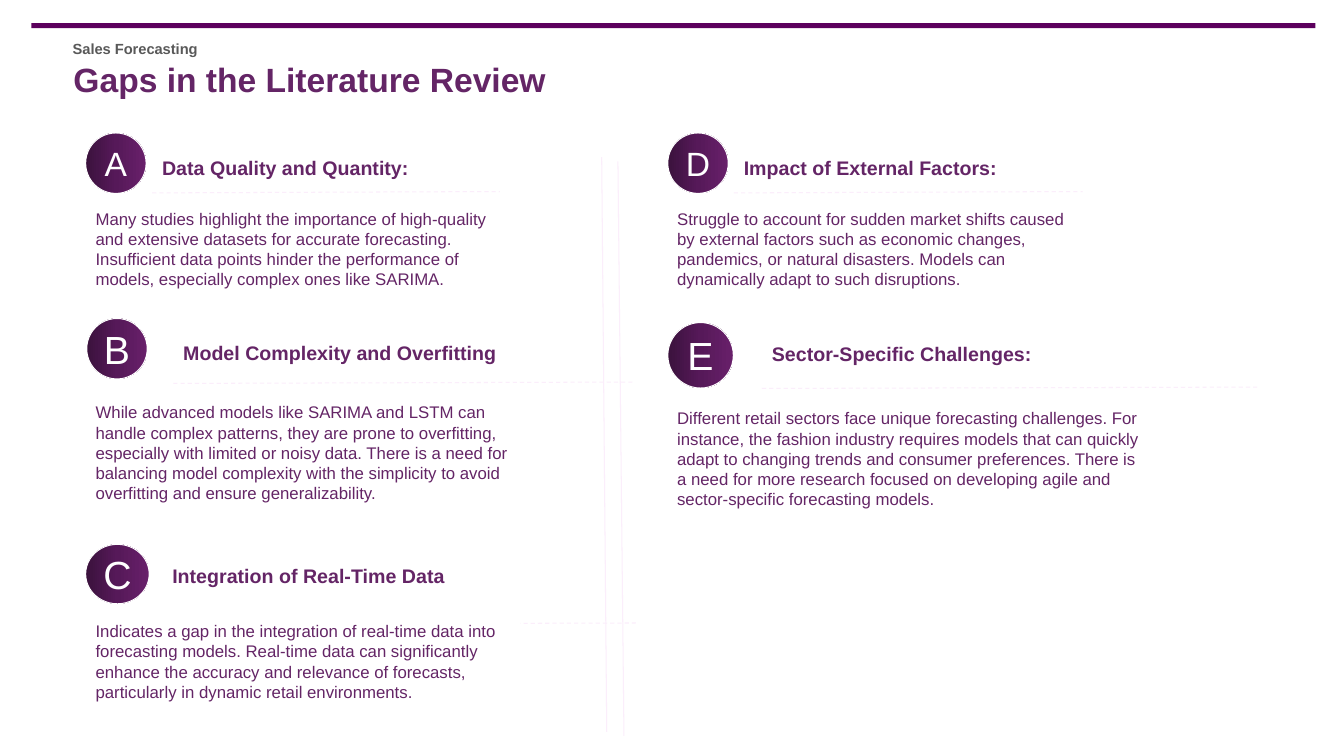
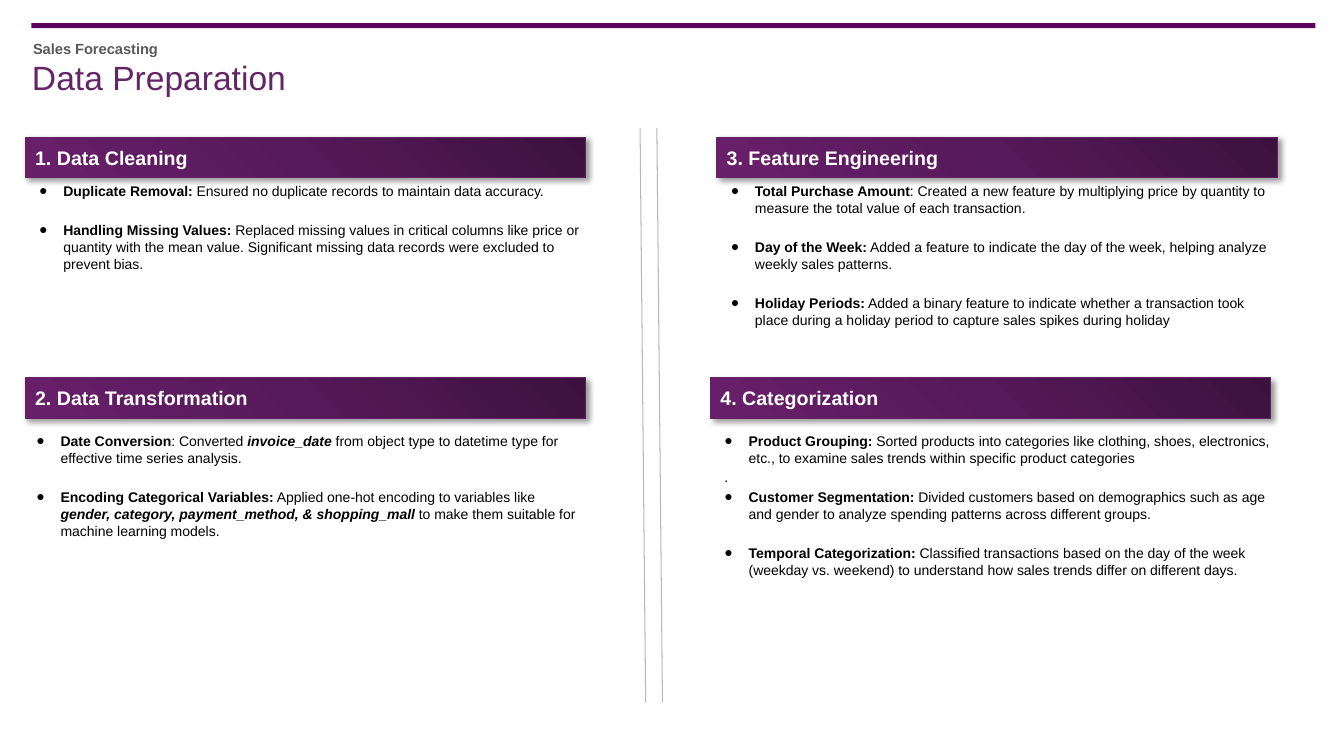
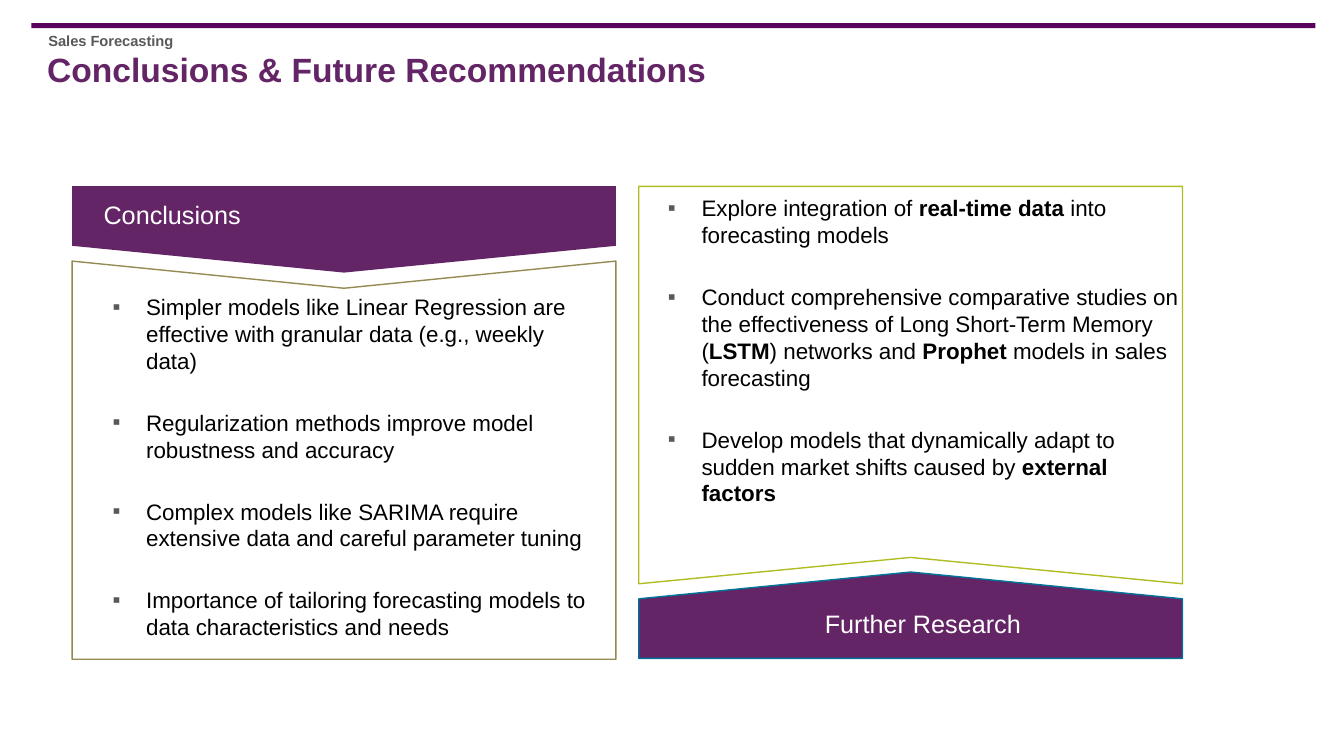
from dataclasses import dataclass

from pptx import Presentation
from pptx.dml.color import RGBColor
from pptx.enum.dml import MSO_LINE
from pptx.enum.shapes import MSO_CONNECTOR, MSO_SHAPE
from pptx.enum.text import MSO_ANCHOR, PP_ALIGN
from pptx.oxml import parse_xml
from pptx.oxml.ns import nsdecls, qn
from pptx.util import Pt


@dataclass(frozen=True)
class Theme:
    font: str = "Arial"
    bar: str = "5C005D"
    purple: str = "642566"
    banner_line: str = "622264"
    gradient: tuple = ((0, "3B123D"), (50, "561959"), (100, "68206A"))
    white: str = "FFFFFF"
    black: str = "000000"
    grey: str = "595959"
    divider: str = "B6B8BA"
    pale: str = "FBEEFB"
    olive: str = "948A54"
    lime: str = "B0BC22"
    teal: str = "007399"
    title: float = 24
    kicker: float = 10.5
    heading: float = 14
    body: float = 12
    small: float = 10
    large: float = 16
    label: float = 18


THEME = Theme()
SLIDE_SIZE = (960, 540)
PADDING = (7.2, 3.6, 7.2, 3.6)
LINEAR = '<a:lin ang="0" scaled="0"/>'
RADIAL = '<a:path path="circle"><a:fillToRect l="100000" b="100000"/></a:path>'

# Content: title, bold, left and top of the title box, left and top of the kicker
KICKER = "Sales Forecasting"
HEADERS = {
    "gaps": ("Gaps in the Literature Review", True, (45.4, 23.8), (52, 26.6)),
    "preparation": ("Data Preparation", False, (15.8, 23), (23.6, 26.6)),
    "conclusions": ("Conclusions & Future Recommendations", True, (26.6, 17.3), (34.6, 21)),
}

# Gaps: letter, size, circle box, heading, its left and top, rule end and top, body box, body text
GAPS = [
    ("D", 24, (477, 95, 43.2, 43.2), "Impact of External Factors:", (524.2, 108), (773.3, 136.8),
     (476.6, 145.4, 294.5, 130.3),
     "Struggle to account for sudden market shifts caused by external factors such as economic "
     "changes, pandemics, or natural disasters. Models can dynamically adapt to such disruptions."),
    ("E", 28, (477, 230.4, 46.8, 46.8), "Sector-Specific Challenges:", (544.3, 240.5), (898.6, 276.5),
     (476.6, 288, 347.8, 114.5),
     "Different retail sectors face unique forecasting challenges. For instance, the fashion industry "
     "requires models that can quickly adapt to changing trends and consumer preferences. There is a "
     "need for more research focused on developing agile and sector-specific forecasting models."),
    ("C", 28, (61.2, 388.8, 45.4, 42.5), "Integration of Real-Time Data", (116, 399.6), (455.8, 445),
     (61.2, 440, 310.3, 99.4),
     "Indicates a gap in the integration of real-time data into forecasting models. Real-time data can "
     "significantly enhance the accuracy and relevance of forecasts, particularly in dynamic retail "
     "environments."),
    ("A", 24, (61.2, 95, 43.2, 43.2), "Data Quality and Quantity:", (108.7, 108), (357.1, 136.8),
     (61.2, 145.4, 294.5, 130.3),
     "Many studies highlight the importance of high-quality and extensive datasets for accurate "
     "forecasting. Insufficient data points hinder the performance of models, especially complex ones "
     "like SARIMA."),
    ("B", 28, (62, 227.5, 43.2, 43.2), "Model Complexity and Overfitting", (123.8, 239.8), (452.2, 272.9),
     (61.2, 283.7, 322.6, 105.1),
     "While advanced models like SARIMA and LSTM can handle complex patterns, they are prone to "
     "overfitting, especially with limited or noisy data. There is a need for balancing model complexity "
     "with the simplicity to avoid overfitting and ensure generalizability."),
]

# Preparation: banner text, banner left and top, list left and top, width, items
# An item is a list of (text, style) runs; a plain string is an unbulleted line
STEPS = [
    ("1. Data Cleaning", (18, 98), (18, 130.3), 400.3, [
        [("Duplicate Removal:", "b"), (" Ensured no duplicate records to maintain data accuracy.", "")],
        [("Handling Missing Values:", "b"),
         (" Replaced missing values in critical columns like price or quantity with the mean value. "
          "Significant missing data records were excluded to prevent bias.", "")],
    ]),
    ("2. Data Transformation", (18, 270), (16, 308.9), 402.5, [
        [("Date Conversion", "b"), (": Converted ", ""), ("invoice_date ", "bi"),
         ("from object type to datetime type for effective time series analysis.", "")],
        [("Encoding Categorical Variables:", "b"), (" Applied one-hot encoding to variables like ", ""),
         ("gender, category, payment_method, & shopping_mall ", "bi"),
         ("to make them suitable for machine learning models.", "")],
    ]),
    ("3. Feature Engineering", (512, 98), (512, 130.3), 400.3, [
        [("Total Purchase Amount", "b"),
         (": Created a new feature by multiplying price by quantity to measure the total value of each "
          "transaction.", "")],
        [("Day of the Week:", "b"),
         (" Added a feature to indicate the day of the week, helping analyze weekly sales patterns.", "")],
        [("Holiday Periods:", "b"),
         (" Added a binary feature to indicate whether a transaction took place during a holiday period "
          "to capture sales spikes during holiday", "")],
    ]),
    ("4. Categorization", (507.5, 270), (507.5, 308.9), 400.3, [
        [("Product Grouping: ", "b"),
         ("Sorted products into categories like clothing, shoes, electronics, etc., to examine sales "
          "trends within specific product categories", "")],
        ".",
        [("Customer Segmentation: ", "b"),
         ("Divided customers based on demographics such as age and gender to analyze spending patterns "
          "across different groups.", "")],
        [("Temporal Categorization: ", "b"),
         ("Classified transactions based on the day of the week (weekday vs. weekend) to understand how "
          "sales trends differ on different days.", "")],
    ]),
]

# Conclusions: each panel is an arrow plate with a matching outlined box
PANELS = [
    {"label": "Conclusions", "label_box": (74, 138, 340, 30), "align": PP_ALIGN.LEFT,
     "left": 51.5, "plate_top": 133, "rotation": 90, "plate_line": None,
     "notch": (186.5, 205.9), "far_edge": 470.9, "outline": THEME.olive,
     "list_box": (68.4, 209.5, 353.6, 250),
     "items": [
         [("Simpler models like Linear Regression are effective with granular data (e.g., weekly data)", "")],
         [("Regularization methods improve model robustness and accuracy", "")],
         [("Complex models like SARIMA require extensive data and careful parameter tuning", "")],
         [("Importance of tailoring forecasting models to data characteristics and needs", "")],
     ]},
    {"label": "Further Research", "label_box": (474, 430, 370.5, 30), "align": PP_ALIGN.CENTER,
     "left": 456.3, "plate_top": 408.6, "rotation": 270, "plate_line": THEME.teal,
     "notch": (417, 398.2), "far_edge": 133.2, "outline": THEME.lime,
     "list_box": (465.1, 139, 377.4, 255),
     "items": [
         [("Explore integration of ", ""), ("real-time data ", "b"), ("into forecasting models", "")],
         [("Conduct comprehensive comparative studies on the effectiveness of Long Short-Term Memory (", ""),
          ("LSTM", "b"), (") networks and ", ""), ("Prophet ", "b"), ("models in sales forecasting", "")],
         [("Develop models that dynamically adapt to sudden market shifts caused by ", ""),
          ("external factors", "b")],
     ]},
]
PANEL_WIDTH, PLATE_HEIGHT, PLATE_POINT = 388.4, 61.7, 0.31


# Formatting helpers
def points(*values):
    return [Pt(value) for value in values]


def set_values(target, values):
    for name, value in values.items():
        setattr(target, name, value)


def prepare_frame(frame, padding=(0, 0, 0, 0), anchor=MSO_ANCHOR.TOP):
    names = ("margin_left", "margin_top", "margin_right", "margin_bottom")
    set_values(frame, dict(zip(names, points(*padding)), word_wrap=True, vertical_anchor=anchor))


def add_run(paragraph, text, size, color, style=""):
    run = paragraph.add_run()
    run.text = text
    set_values(run.font, {"name": THEME.font, "size": Pt(size), "bold": "b" in style, "italic": "i" in style})
    run.font.color.rgb = RGBColor.from_string(color)


def write(shape, text, size, color, style="", align=PP_ALIGN.LEFT, **frame_values):
    prepare_frame(shape.text_frame, **frame_values)
    paragraph = shape.text_frame.paragraphs[0]
    paragraph.alignment = align
    add_run(paragraph, text, size, color, style)


def set_outline(line, color, width):
    if color is None:
        line.fill.background()
    else:
        line.color.rgb = RGBColor.from_string(color)
        line.width = Pt(width)


def add_box(slide, kind, box, fill, outline=None, width=0.75):
    shape = slide.shapes.add_shape(kind, *points(*box))
    shape.shadow.inherit = False
    shape.fill.solid()
    shape.fill.fore_color.rgb = RGBColor.from_string(fill)
    set_outline(shape.line, outline, width)
    return shape


def add_text(slide, box, *args, **values):
    write(slide.shapes.add_textbox(*points(*box)), *args, **values)


def set_gradient(shape, direction):
    stops = "".join(f'<a:gs pos="{position * 1000}"><a:srgbClr val="{color}"/></a:gs>'
                    for position, color in THEME.gradient)
    gradient = parse_xml(f'<a:gradFill {nsdecls("a")} rotWithShape="1">'
                         f'<a:gsLst>{stops}</a:gsLst>{direction}</a:gradFill>')
    properties = shape._element.spPr
    properties.replace(properties.find(qn("a:solidFill")), gradient)


def add_shadow(shape):
    shape._element.spPr.find(qn("a:effectLst")).append(parse_xml(
        f'<a:outerShdw {nsdecls("a")} blurRad="{Pt(4)}" dist="{Pt(3)}" dir="2700000" algn="tl" '
        f'rotWithShape="0"><a:srgbClr val="{THEME.black}"><a:alpha val="40000"/></a:srgbClr></a:outerShdw>'))


def add_line(slide, start, end, color, dash=None):
    line = slide.shapes.add_connector(MSO_CONNECTOR.STRAIGHT, *points(*start, *end))
    set_outline(line.line, color, 0.75)
    line.line.dash_style = dash
    line._element.spPr.append(parse_xml(f'<a:effectLst {nsdecls("a")}/>'))


def add_list(slide, box, items, size, bullet, bullet_color, indent, hanging, space, gap):
    frame = slide.shapes.add_textbox(*points(*box)).text_frame
    prepare_frame(frame)
    follows_bullet = False
    for index, item in enumerate(items):
        paragraph = frame.paragraphs[0] if index == 0 else frame.add_paragraph()
        bulleted = not isinstance(item, str)
        paragraph.space_before = Pt(gap if bulleted and follows_bullet else space)
        properties = paragraph._p.get_or_add_pPr()
        properties.set("marL", str(Pt(indent if bulleted else indent - hanging)))
        if bulleted:
            properties.set("indent", str(-Pt(hanging)))
            for xml in (f'<a:buClr {nsdecls("a")}><a:srgbClr val="{bullet_color}"/></a:buClr>',
                        f'<a:buFont {nsdecls("a")} typeface="{THEME.font}"/>',
                        f'<a:buChar {nsdecls("a")} char="{bullet}"/>'):
                properties.append(parse_xml(xml))
        for text, style in item if bulleted else [(item, "")]:
            add_run(paragraph, text, size, THEME.black, style)
        follows_bullet = bulleted


def add_slide(presentation, header):
    title, bold, title_corner, kicker_corner = header
    slide = presentation.slides.add_slide(presentation.slide_layouts[6])
    add_box(slide, MSO_SHAPE.RECTANGLE, (22.4, 16.5, 917.3, 3.6), THEME.bar)
    add_text(slide, (*title_corner, 815.8, 64.8), title, THEME.title, THEME.purple,
             "b" if bold else "", padding=PADDING, anchor=MSO_ANCHOR.MIDDLE)
    add_text(slide, (*kicker_corner, 815.8, 16), KICKER, THEME.kicker, THEME.grey, "b", padding=(0, 2, 0, 0))
    return slide


# Slides
def build_gaps(presentation):
    slide = add_slide(presentation, HEADERS["gaps"])
    for letter, size, circle_box, heading, corner, rule_end, body_box, body in GAPS:
        circle = add_box(slide, MSO_SHAPE.FLOWCHART_CONNECTOR, circle_box, THEME.white, THEME.white)
        set_gradient(circle, LINEAR)
        write(circle, letter, size, THEME.white, align=PP_ALIGN.CENTER, anchor=MSO_ANCHOR.MIDDLE)
        add_text(slide, (*corner, 310, 25), heading, THEME.heading, THEME.purple, "b", padding=PADDING)
        add_line(slide, (corner[0], rule_end[1] + 1), rule_end, THEME.pale, MSO_LINE.DASH)
        panel = add_box(slide, MSO_SHAPE.RECTANGLE, body_box, THEME.white)
        write(panel, body, THEME.body, THEME.purple, padding=PADDING)
    add_line(slide, (429.8, 112.3), (433.4, 522.7), THEME.pale)
    add_line(slide, (441.4, 115.2), (445.7, 525.6), THEME.pale)


def build_preparation(presentation):
    slide = add_slide(presentation, HEADERS["preparation"])
    for heading, banner_corner, list_corner, width, items in STEPS:
        add_list(slide, (*list_corner, width, 120), items, THEME.small, "●", THEME.black,
                 indent=27.3, hanging=17.3, space=2, gap=16)
        banner = add_box(slide, MSO_SHAPE.RECTANGLE, (*banner_corner, 400.3, 28.8),
                         THEME.purple, THEME.banner_line)
        set_gradient(banner, RADIAL)
        add_shadow(banner)
        write(banner, heading, THEME.heading, THEME.white, "b", padding=PADDING, anchor=MSO_ANCHOR.MIDDLE)
    for left in (457.2, 469.2):
        add_line(slide, (left, 91.4), (left + 4, 501.8), THEME.divider)


def build_conclusions(presentation):
    slide = add_slide(presentation, HEADERS["conclusions"])
    for panel in PANELS:
        left, right = panel["left"], panel["left"] + PANEL_WIDTH
        middle = (left + right) / 2
        # The plate is turned a quarter, so its box is tall and shares the centre
        plate_top = panel["plate_top"] + (PLATE_HEIGHT - PANEL_WIDTH) / 2
        plate = add_box(slide, MSO_SHAPE.PENTAGON,
                        (middle - PLATE_HEIGHT / 2, plate_top, PLATE_HEIGHT, PANEL_WIDTH),
                        THEME.purple, panel["plate_line"], 1)
        plate.adjustments[0] = PLATE_POINT
        plate.rotation = panel["rotation"]
        add_text(slide, panel["label_box"], panel["label"], THEME.label, THEME.white,
                 align=panel["align"], anchor=MSO_ANCHOR.MIDDLE)

        side, apex = panel["notch"]
        corners = [(middle, apex), (right, side), (right, panel["far_edge"]), (left, panel["far_edge"])]
        builder = slide.shapes.build_freeform(*points(left, side))
        builder.add_line_segments([points(*corner) for corner in corners], close=True)
        outline = builder.convert_to_shape()
        outline.shadow.inherit = False
        outline.fill.background()
        set_outline(outline.line, panel["outline"], 1)
        add_list(slide, panel["list_box"], panel["items"], THEME.large, "▪", THEME.grey,
                 indent=36, hanging=24, space=2.7, gap=25)


def main():
    presentation = Presentation()
    presentation.slide_width, presentation.slide_height = points(*SLIDE_SIZE)
    for build in (build_gaps, build_preparation, build_conclusions):
        build(presentation)
    presentation.save("out.pptx")


if __name__ == "__main__":
    main()
